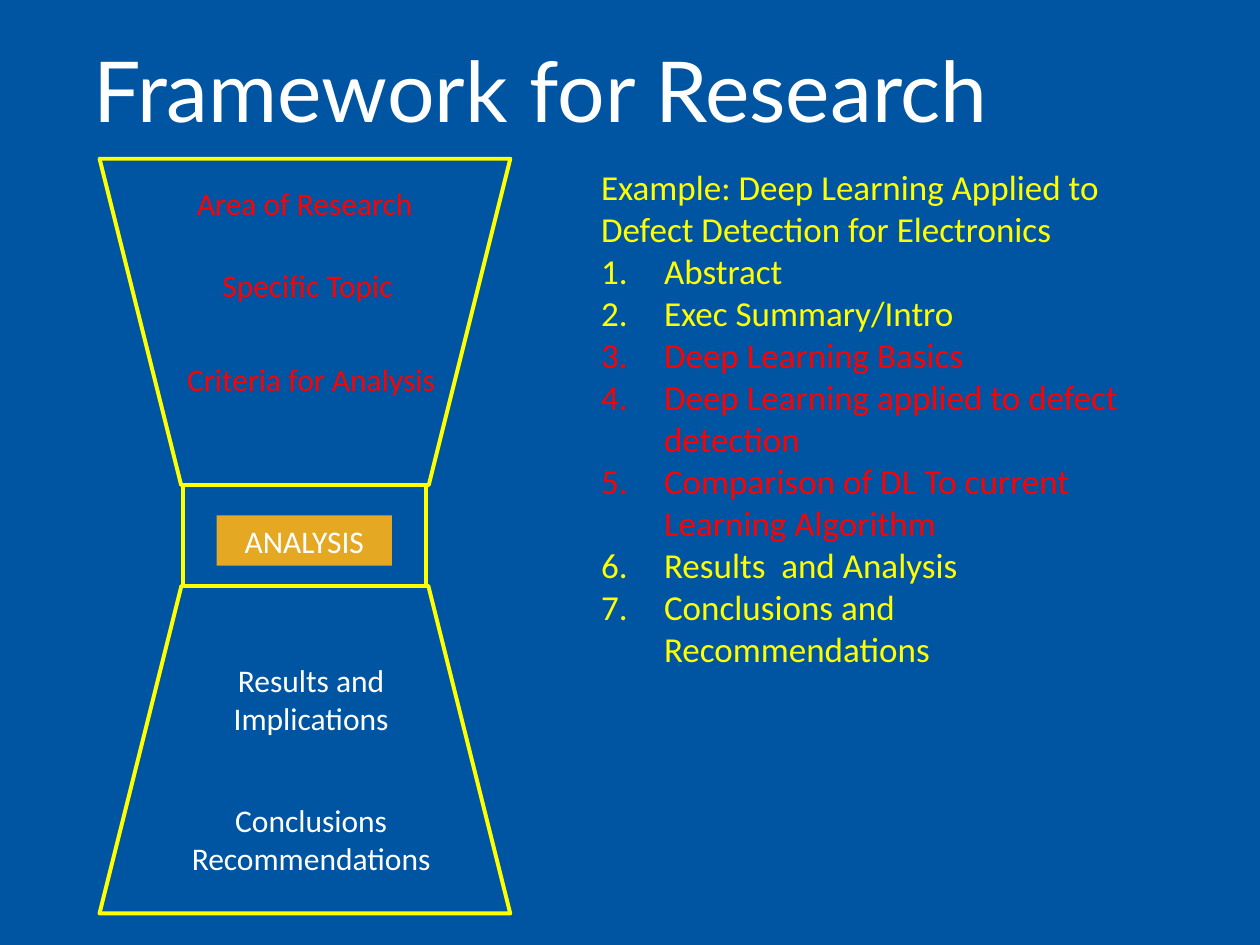
from lxml import etree
from pptx import Presentation
from pptx.dml.color import RGBColor
from pptx.enum.shapes import MSO_SHAPE
from pptx.enum.text import MSO_ANCHOR, MSO_AUTO_SIZE, PP_ALIGN
from pptx.oxml.ns import qn
from pptx.util import Inches, Pt

TRAPEZOID, RECTANGLE = MSO_SHAPE.TRAPEZOID, MSO_SHAPE.RECTANGLE
CENTER, LEFT = PP_ALIGN.CENTER, PP_ALIGN.LEFT
TOP, MIDDLE = MSO_ANCHOR.TOP, MSO_ANCHOR.MIDDLE
NO_FIT = MSO_AUTO_SIZE.NONE
BLUE, YELLOW, RED, WHITE, GOLD = "0055A2", "FFFF00", "FF0000", "FFFFFF", "E5A823"


def color(hex_value):
    return RGBColor.from_string(hex_value)


def style(paragraph, face, size, hex_value, align):
    paragraph.alignment = align
    for run in paragraph.runs:
        run.font.name = face
        run.font.size = Pt(size)
        run.font.color.rgb = color(hex_value)


prs = Presentation()
prs.slide_width, prs.slide_height = Inches(10), Inches(7.5)
slide = prs.slides.add_slide(prs.slide_layouts[1])
slide.background.fill.solid()
slide.background.fill.fore_color.rgb = color(BLUE)

title = slide.shapes.title
title.left, title.top = Inches(0.64), Inches(0.27)
title.width, title.height = Inches(8.62), Inches(0.97)
heading = title.text_frame
heading.text = "Framework for Research"
heading.auto_size = NO_FIT
heading.vertical_anchor = MIDDLE
heading.paragraphs[0].line_spacing = 0.9
style(heading.paragraphs[0], "Lato", 48, WHITE, LEFT)

hourglass = [
    (TRAPEZOID, 0.79, 1.26, 3.26, 2.59, 180),
    (TRAPEZOID, 0.79, 4.65, 3.26, 2.6, 0),
    (RECTANGLE, 1.45, 3.85, 1.93, 0.8, 0),
]
for preset, left, top, width, height, rotation in hourglass:
    section = slide.shapes.add_shape(
        preset, Inches(left), Inches(top), Inches(width), Inches(height))
    section.rotation = rotation
    section.shadow.inherit = False
    section.fill.solid()
    section.fill.fore_color.rgb = color(BLUE)
    section.line.color.rgb = color(YELLOW)
    section.line.width = Pt(2.25)

stages = [
    ("Area of Research", 1.29, 1.41, 2.26, 0.4, RED),
    ("Specific Topic ", 1.34, 2.06, 2.26, 0.4, RED),
    ("Criteria for Analysis", 1.34, 2.81, 2.26, 0.4, RED),
    ("ANALYSIS", 1.72, 4.09, 1.39, 0.4, WHITE),
    ("Results and Implications", 1.34, 5.2, 2.26, 0.71, WHITE),
    ("Conclusions Recommendations", 1.34, 6.31, 2.26, 0.71, WHITE),
]
for wording, left, top, width, height, text_color in stages:
    stage = slide.shapes.add_textbox(
        Inches(left), Inches(top), Inches(width), Inches(height))
    stage.text_frame.word_wrap = True
    stage.text_frame.text = wording
    style(stage.text_frame.paragraphs[0], "Calibri", 18, text_color, CENTER)
    if wording == "ANALYSIS":
        stage.fill.solid()
        stage.fill.fore_color.rgb = color(GOLD)

outline = [
    ("Example: Deep Learning Applied to Defect Detection for Electronics", YELLOW),
    ("Abstract", YELLOW),
    ("Exec Summary/Intro", YELLOW),
    ("Deep Learning Basics", RED),
    ("Deep Learning applied to defect detection", RED),
    ("Comparison of DL To current Learning Algorithm", RED),
    ("Results  and Analysis", YELLOW),
    ("Conclusions and Recommendations", YELLOW),
]
example = slide.placeholders[1]
example.left, example.top = Inches(4.67), Inches(1.26)
example.width, example.height = Inches(4.53), Inches(4.14)
contents = example.text_frame
contents.text = "\n".join(wording for wording, _ in outline)
contents.auto_size = NO_FIT
contents.vertical_anchor = TOP
for number, (entry, (_, text_color)) in enumerate(zip(contents.paragraphs, outline)):
    entry.space_before = Pt(0)
    properties = entry._p.get_or_add_pPr()
    indent = Inches(0.5) if number else 0
    properties.set("marL", str(indent))
    properties.set("indent", str(-indent))
    if number:
        numbering = etree.SubElement(properties, qn("a:buAutoNum"))
        numbering.set("type", "arabicPeriod")
    else:
        etree.SubElement(properties, qn("a:buNone"))
    style(entry, "Calibri", 20, text_color, LEFT)

prs.save("out.pptx")
